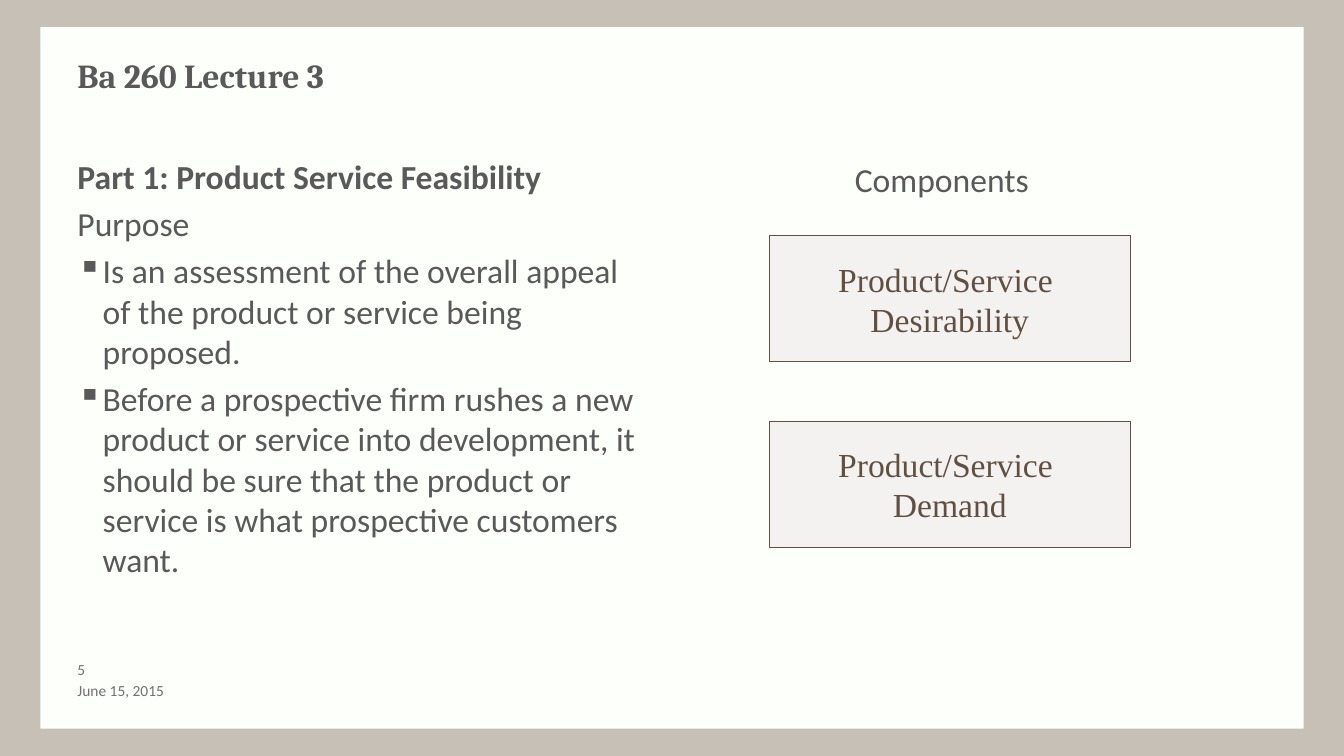
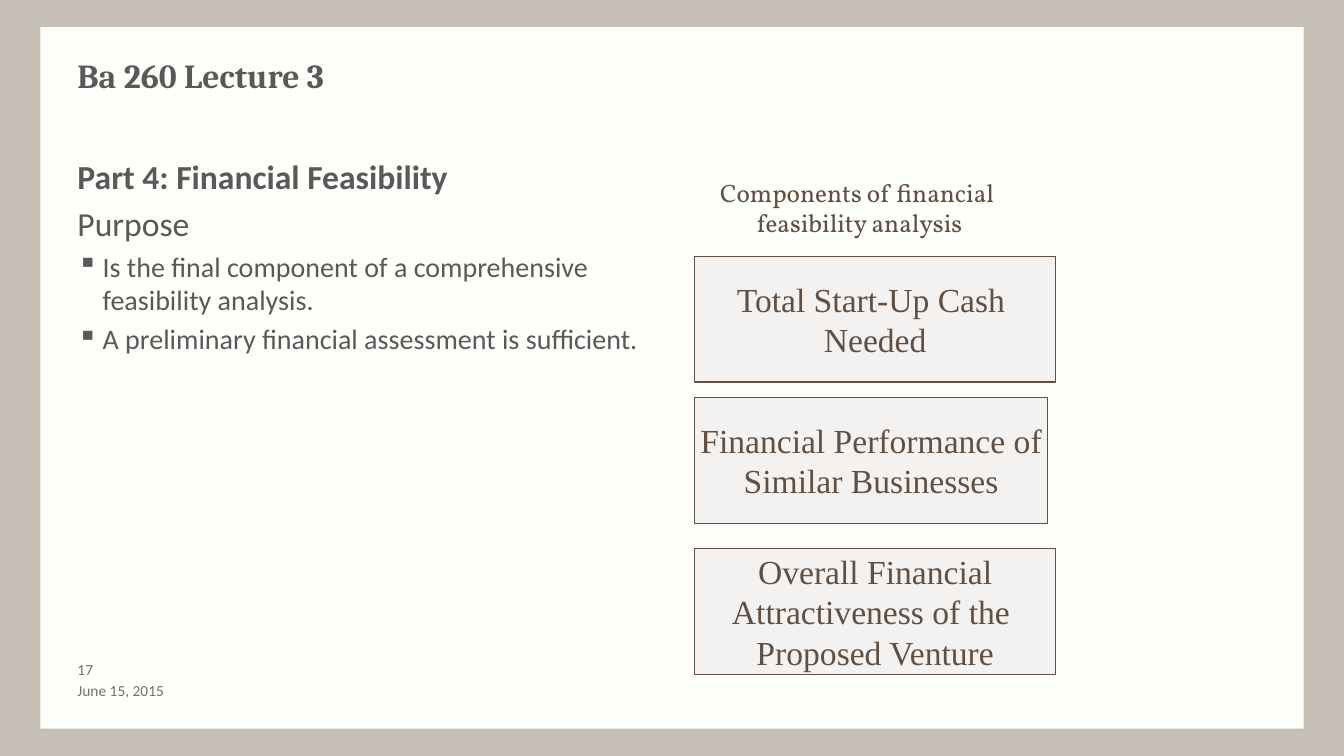
from dataclasses import dataclass

from lxml import etree
from pptx import Presentation
from pptx.dml.color import RGBColor
from pptx.enum.shapes import MSO_SHAPE
from pptx.enum.text import MSO_ANCHOR, PP_ALIGN
from pptx.oxml.ns import qn
from pptx.util import Inches, Pt

RECT = MSO_SHAPE.RECTANGLE
TOP, MIDDLE = MSO_ANCHOR.TOP, MSO_ANCHOR.MIDDLE
LEFT, CENTER = PP_ALIGN.LEFT, PP_ALIGN.CENTER


@dataclass(frozen=True)
class Style:
    font: str
    size: int
    color: str
    bold: bool = False


@dataclass(frozen=True)
class Theme:
    frame: str = "C6C0B7"
    panel: str = "FDFFFB"
    box_fill: str = "F4F2F1"
    box_line: str = "615042"
    title: Style = Style("Cambria", 24, "595959", True)
    heading: Style = Style("Calibri", 24, "595959", True)
    body: Style = Style("Calibri", 24, "595959")
    small_body: Style = Style("Calibri", 20, "595959")
    footer: Style = Style("Calibri", 11, "717171")
    box: Style = Style("Times New Roman", 24, "615042")
    caption: Style = Style("Vollkorn", 18, "615042")


THEME = Theme()
MARGIN = 0.67
BOX_W, BOX_H = 3.58, 1.25
TITLE = "Ba 260 Lecture 3"
DATE = "June 15, 2015"


def rgb(color):
    return RGBColor.from_string(color)


def add_run(p, text, style):
    r = p.add_run()
    r.text = text
    r.font.name = style.font
    r.font.size = Pt(style.size)
    r.font.bold = style.bold
    r.font.color.rgb = rgb(style.color)


def add_bullet(p):
    pPr = p._p.get_or_add_pPr()
    pPr.set("marL", str(Inches(0.25)))
    pPr.set("indent", str(Inches(-0.25)))
    etree.SubElement(pPr, qn("a:buChar")).set("char", "▪")


def fill_lines(tf, lines, style, align=LEFT):
    for i, line in enumerate(lines):
        p = tf.paragraphs[0] if i == 0 else tf.add_paragraph()
        p.alignment = align
        add_run(p, line, style)


def add_text(s, at, lines=(), style=None, align=LEFT, anchor=TOP,
             insets=(0.1, 0.05, 0.1, 0.05)):
    tf = s.shapes.add_textbox(*map(Inches, at)).text_frame
    tf.word_wrap = True
    tf.vertical_anchor = anchor
    (tf.margin_left, tf.margin_top,
     tf.margin_right, tf.margin_bottom) = map(Inches, insets)
    fill_lines(tf, lines, style, align)
    return tf


def add_rect(s, at, fill, line=None):
    sp = s.shapes.add_shape(RECT, *map(Inches, at))
    sp.shadow.inherit = False
    sp.fill.solid()
    sp.fill.fore_color.rgb = rgb(fill)
    if line:
        sp.line.color.rgb = rgb(line)
        sp.line.width = Pt(0.75)
    else:
        sp.line.fill.background()
    return sp


def add_box(s, left, top, lines, width=BOX_W):
    sp = add_rect(s, (left, top, width, BOX_H), THEME.box_fill, THEME.box_line)
    tf = sp.text_frame
    tf.word_wrap = False
    tf.vertical_anchor = MIDDLE
    fill_lines(tf, lines, THEME.box, CENTER)


def add_body(s, heading, bullets, bullet_style):
    tf = add_text(s, (MARGIN, 1.5, 5.84, 4.75), [heading], THEME.heading)
    items = [("Purpose", THEME.body, False)]
    items += [(text, bullet_style, True) for text in bullets]
    for text, style, bulleted in items:
        p = tf.add_paragraph()
        p.space_before = Pt(style.size * 0.2)
        if bulleted:
            add_bullet(p)
        add_run(p, text, style)


def add_slide(prs, number):
    # Panel, title and footer shared by all slides
    s = prs.slides.add_slide(prs.slide_layouts[6])
    add_rect(s, (0.4, 0.27, 12.53, 6.96), THEME.panel)
    add_text(s, (MARGIN, 0.5, 12, 0.75), [TITLE], THEME.title)
    add_text(s, (MARGIN, 6.75, 2.67, 0.2), [DATE], THEME.footer,
             anchor=MIDDLE, insets=(0.1, 0, 0.1, 0))
    add_text(s, (MARGIN, 6.55, 0.53, 0.2), [str(number)], THEME.footer,
             insets=(0.1, 0, 0, 0))
    return s


def product_slide(prs):
    s = add_slide(prs, 5)
    add_body(s, "Part 1: Product Service Feasibility", [
        "Is an assessment of the overall appeal of the product or service "
        "being proposed.",
        "Before a prospective firm rushes a new product or service into "
        "development, it should be sure that the product or service is what "
        "prospective customers want.",
    ], THEME.body)
    # Components
    add_text(s, (8.38, 1.53, 3.13, 4.75), ["Components"], THEME.body)
    for i, word in enumerate(("Desirability", "Demand")):
        add_box(s, 7.63, 2.34 + 1.84 * i, ["Product/Service ", word])


def financial_slide(prs):
    s = add_slide(prs, 17)
    add_body(s, "Part 4: Financial Feasibility", [
        "Is the final component of a comprehensive feasibility analysis.",
        "A preliminary financial assessment is sufficient.",
    ], THEME.small_body)
    # Components
    add_text(s, (5.19, 1.71, 6.67, 0.71),
             ["Components of financial ", "feasibility analysis"],
             THEME.caption, CENTER)
    for top, width, lines in (
        (2.54, BOX_W, ["Total Start-Up Cash ", "Needed"]),
        (3.94, 3.5, ["Financial Performance of", "Similar Businesses"]),
        (5.44, BOX_W, ["Overall Financial", "Attractiveness of the ",
                       "Proposed Venture"]),
    ):
        add_box(s, 6.89, top, lines, width)


def main():
    prs = Presentation()
    prs.slide_width, prs.slide_height = Inches(13.33), Inches(7.5)
    # Frame colour behind every panel
    background = prs.slide_master.background.fill
    background.solid()
    background.fore_color.rgb = rgb(THEME.frame)
    product_slide(prs)
    financial_slide(prs)
    prs.save("out.pptx")


if __name__ == "__main__":
    main()
